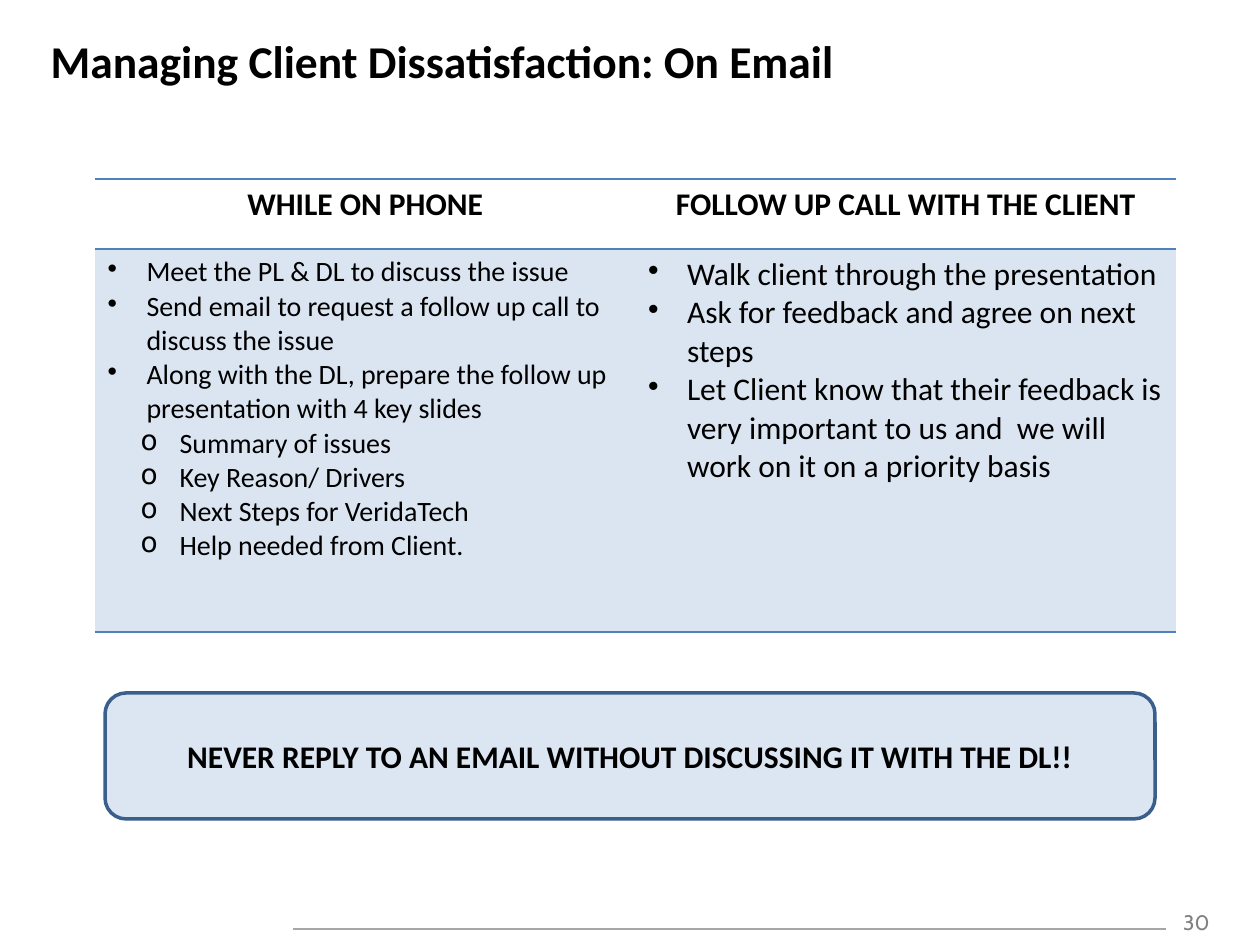
from lxml import etree
from pptx import Presentation
from pptx.dml.color import RGBColor
from pptx.enum.shapes import MSO_CONNECTOR, MSO_SHAPE
from pptx.enum.text import MSO_ANCHOR, MSO_AUTO_SIZE, PP_ALIGN
from pptx.oxml.ns import qn
from pptx.util import Emu, Pt

LEFT, CENTER = PP_ALIGN.LEFT, PP_ALIGN.CENTER
MIDDLE = MSO_ANCHOR.MIDDLE
RECT = MSO_SHAPE.ROUNDED_RECTANGLE
STRAIGHT = MSO_CONNECTOR.STRAIGHT
NO_FIT = MSO_AUTO_SIZE.NONE
SCALE = 914400 / 126
PLAIN = "{2D5ABB26-0587-4C30-8999-92F81FD0307C}"
BLUE, BLACK = "4F81BD", "000000"
INDENT = 39

HEADS = ["WHILE ON PHONE", "FOLLOW UP CALL WITH THE CLIENT"]
# Each item is (level, text).
PHONE = [
    (0, "Meet the PL & DL to discuss the issue"),
    (0, "Send email to request a follow up call to discuss the issue"),
    (0, "Along with the DL, prepare the follow up presentation with 4 key slides"),
    (1, "Summary of issues"),
    (1, "Key Reason/ Drivers"),
    (1, "Next Steps for VeridaTech"),
    (1, "Help needed from Client."),
]
CALL = [
    (0, "Walk client through the presentation"),
    (0, "Ask for feedback and agree on next steps"),
    (0, "Let Client know that their feedback is very important to us and  "
        "we will work on it on a priority basis"),
]


def px(n):
    return Emu(round(n * SCALE))


def box(*sides):
    return [px(n) for n in sides]


def color(code):
    return RGBColor.from_string(code)


def write(para, text, size, bold=False, align=LEFT, font="Calibri", code=BLACK):
    para.alignment = align
    run = para.add_run()
    run.text = text
    run.font.size = Pt(size)
    run.font.bold = bold
    run.font.name = font
    run.font.color.rgb = color(code)


def bullet(para, level):
    props = para._p.get_or_add_pPr()
    props.set("marL", str(px((39, 72)[level])))
    props.set("indent", str(-px(INDENT)))
    etree.SubElement(props, qn("a:buChar")).set("char", "•o"[level])


def edge(cell, *tags):
    """Draw blue borders; tags go in schema order, ahead of the fill."""
    props = cell._tc.get_or_add_tcPr()
    for i, tag in enumerate(tags):
        line = etree.Element(qn(tag), w=str(Pt(1)))
        fill = etree.SubElement(line, qn("a:solidFill"))
        etree.SubElement(fill, qn("a:srgbClr"), val=BLUE)
        props.insert(i, line)


def add_title(slide, text):
    title = slide.shapes.title
    title.left, title.top, title.width, title.height = box(38, 21, 1179, 79)
    frame = title.text_frame
    frame.auto_size = NO_FIT
    frame.vertical_anchor = MIDDLE
    write(frame.paragraphs[0], text, 26, True)


def add_grid(slide):
    table = slide.shapes.add_table(2, 2, *box(95, 179, 1081, 453)).table
    table._tbl.tblPr.find(qn("a:tableStyleId")).text = PLAIN
    table.horz_banding = False
    for row, high in zip(table.rows, (70, 383)):
        row.height = px(high)
    for i, (items, size) in enumerate([(PHONE, 16), (CALL, 18)]):
        head, body = table.cell(0, i), table.cell(1, i)
        head.fill.background()
        edge(head, "a:lnT", "a:lnB")
        write(head.text_frame.paragraphs[0], HEADS[i], 18, True, CENTER)
        body.fill.solid()
        body.fill.fore_color.rgb = color("DBE5F1")
        edge(body, "a:lnT", "a:lnB")
        frame = body.text_frame
        for n, (level, text) in enumerate(items):
            para = frame.add_paragraph() if n else frame.paragraphs[0]
            bullet(para, level)
            write(para, text, size)


def add_note(slide, text):
    note = slide.shapes.add_shape(RECT, *box(105, 693, 1050, 126))
    note.shadow.inherit = False
    note.fill.solid()
    note.fill.fore_color.rgb = color("DCE6F2")
    note.line.color.rgb = color("3A5F8C")
    note.line.width = Pt(2)
    frame = note.text_frame
    frame.word_wrap = True
    frame.vertical_anchor = MIDDLE
    write(frame.paragraphs[0], text, 18, True, CENTER)


def add_foot(slide, number):
    rule = slide.shapes.add_connector(STRAIGHT, *box(293, 929, 1166, 929))
    rule.line.color.rgb = color("A6A6A6")
    rule.line.width = Pt(0.75)
    etree.SubElement(rule._element.spPr, qn("a:effectLst"))
    label = slide.shapes.add_textbox(*box(1165, 903, 63, 38))
    label.text_frame.word_wrap = True
    write(label.text_frame.paragraphs[0], number, 12, False, CENTER,
          "Cabin", "808080")


def main():
    deck = Presentation()
    deck.slide_width, deck.slide_height = box(1260, 945)
    slide = deck.slides.add_slide(deck.slide_layouts[5])
    add_foot(slide, "30")
    add_title(slide, "Managing Client Dissatisfaction: On Email")
    add_grid(slide)
    add_note(slide, "NEVER REPLY TO AN EMAIL WITHOUT DISCUSSING IT WITH THE DL!!")
    deck.save("out.pptx")


if __name__ == "__main__":
    main()
